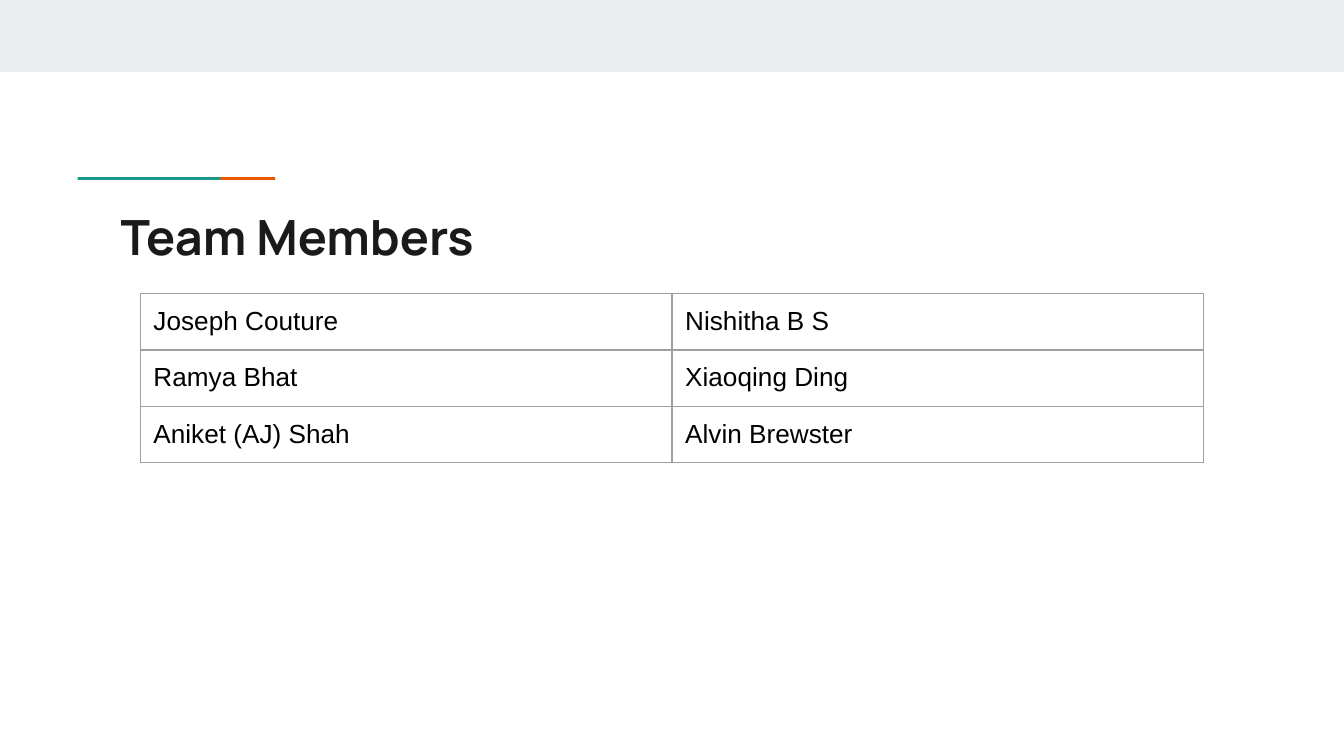
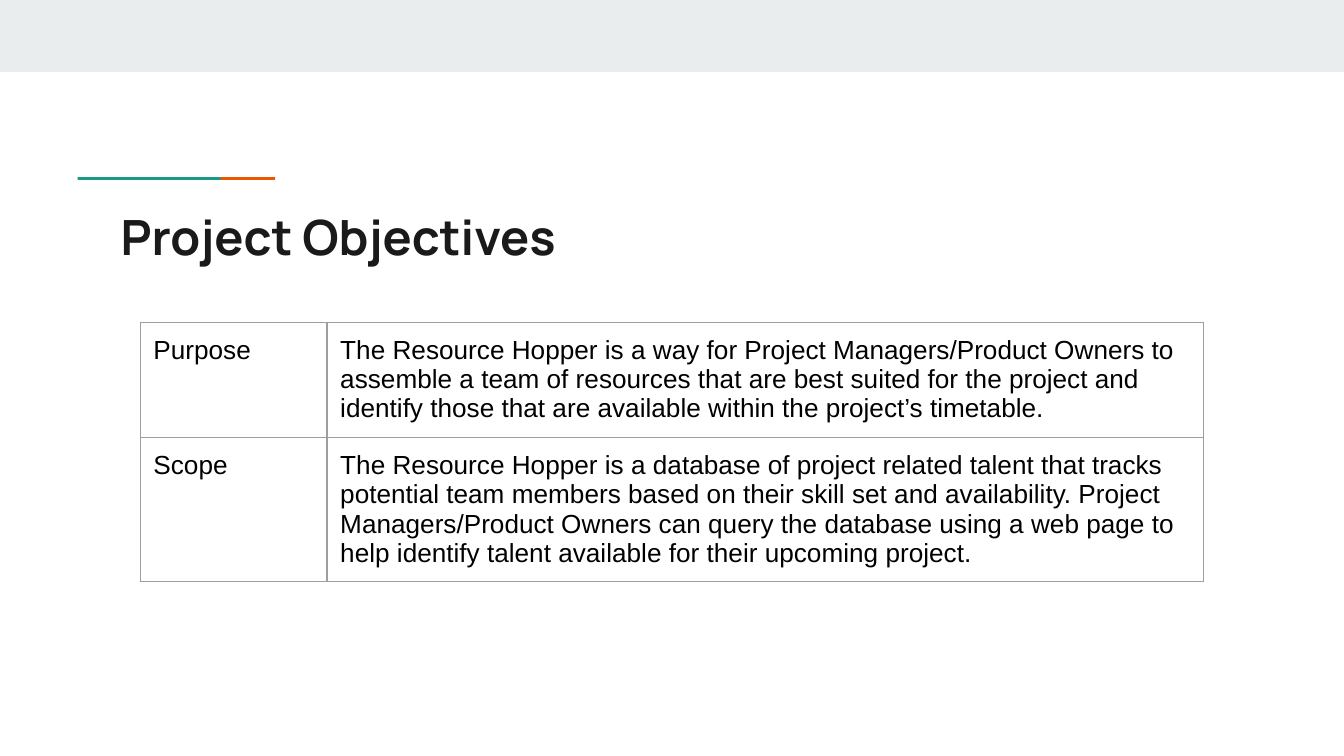
"""Build the team members and project objectives slides."""
from lxml import etree
from pptx import Presentation
from pptx import util as u
from pptx.dml.color import RGBColor
from pptx.enum import shapes, text
from pptx.oxml import ns

BAND = RGBColor(0xE9, 0xED, 0xEE)
GREEN = RGBColor(0x1A, 0x99, 0x88)
ORANGE = RGBColor(0xEB, 0x56, 0x00)
INK = RGBColor(0x1A, 0x1A, 0x1A)
BLACK = RGBColor(0x00, 0x00, 0x00)
GRID = RGBColor(0x9E, 0x9E, 0x9E)

INSET = u.Cm(0.25)
BOTTOM_INSET = u.Cm(0.26)
ROW_HEIGHT = 1.06
TABLE_LEFT = 2.65

DECORATIONS = [
    (0, 0, 25.4, 1.36, BAND),
    (2.5, 3.35, 2.7, 0.05, ORANGE),
    (1.47, 3.35, 2.7, 0.05, GREEN),
]

PAGES = [
    ("Team Members", 5.55, (10.05, 10.05), [
        ("Joseph Couture", "Nishitha B S"),
        ("Ramya Bhat", "Xiaoqing Ding"),
        ("Aniket (AJ) Shah", "Alvin Brewster"),
    ]),
    ("Project Objectives", 6.09, (3.53, 16.57), [
        ("Purpose",
         "The Resource Hopper is a way for Project Managers/Product Owners to "
         "assemble a team of resources that are best suited for the project and "
         "identify those that are available within the project’s timetable."),
        ("Scope",
         "The Resource Hopper is a database of project related talent that tracks "
         "potential team members based on their skill set and availability. Project "
         "Managers/Product Owners can query the database using a web page to help "
         "identify talent available for their upcoming project."),
    ]),
]


def format_text(frame, font_name, size, color, bold):
    """Style the paragraphs and runs of a text frame."""
    for para in frame.paragraphs:
        para.alignment = text.PP_ALIGN.LEFT
        for span in para.runs:
            span.font.name = font_name
            span.font.size = u.Pt(size)
            span.font.bold = bold
            span.font.color.rgb = color


def format_cell(cell):
    """Give a table cell its insets, grey borders and clear fill."""
    cell.margin_left = cell.margin_right = cell.margin_top = INSET
    cell.margin_bottom = BOTTOM_INSET
    cell.vertical_anchor = text.MSO_ANCHOR.TOP
    properties = cell._tc.get_or_add_tcPr()
    for side in ("a:lnL", "a:lnR", "a:lnT", "a:lnB"):
        line = etree.SubElement(properties, ns.qn(side), w=str(u.Pt(0.75)))
        fill = etree.SubElement(line, ns.qn("a:solidFill"))
        etree.SubElement(fill, ns.qn("a:srgbClr"), val=str(GRID))
    cell.fill.background()


deck = Presentation()
deck.slide_width = u.Cm(25.4)
deck.slide_height = u.Cm(14.29)
title_only = deck.slide_layouts[5]

for heading, table_top, widths, rows in PAGES:
    page = deck.slides.add_slide(title_only)

    for left, top, width, height, color in DECORATIONS:
        box = page.shapes.add_shape(
            shapes.MSO_SHAPE.RECTANGLE,
            u.Cm(left), u.Cm(top), u.Cm(width), u.Cm(height))
        box.shadow.inherit = False
        box.fill.solid()
        box.fill.fore_color.rgb = color
        box.line.fill.background()

    title = page.shapes.title
    title.left, title.top = u.Cm(2.03), u.Cm(3.66)
    title.width, title.height = u.Cm(21.36), u.Cm(1.5)
    frame = title.text_frame
    frame.text = heading
    frame.word_wrap = True
    frame.auto_size = text.MSO_AUTO_SIZE.NONE
    frame.vertical_anchor = text.MSO_ANCHOR.TOP
    frame.margin_left = frame.margin_right = INSET
    frame.margin_top = frame.margin_bottom = INSET
    format_text(frame, "Manrope", 26, INK, True)

    table = page.shapes.add_table(
        len(rows), len(widths), u.Cm(TABLE_LEFT), u.Cm(table_top),
        u.Cm(sum(widths)), u.Cm(ROW_HEIGHT * len(rows))).table
    table.first_row = False
    table.horz_banding = False
    for column, width in zip(table.columns, widths):
        column.width = u.Cm(width)
    for row, entries in zip(table.rows, rows):
        row.height = u.Cm(ROW_HEIGHT)
        for cell, entry in zip(row.cells, entries):
            cell.text_frame.text = entry
            format_text(cell.text_frame, "Arial", 14, BLACK, False)
            format_cell(cell)

deck.save("out.pptx")
